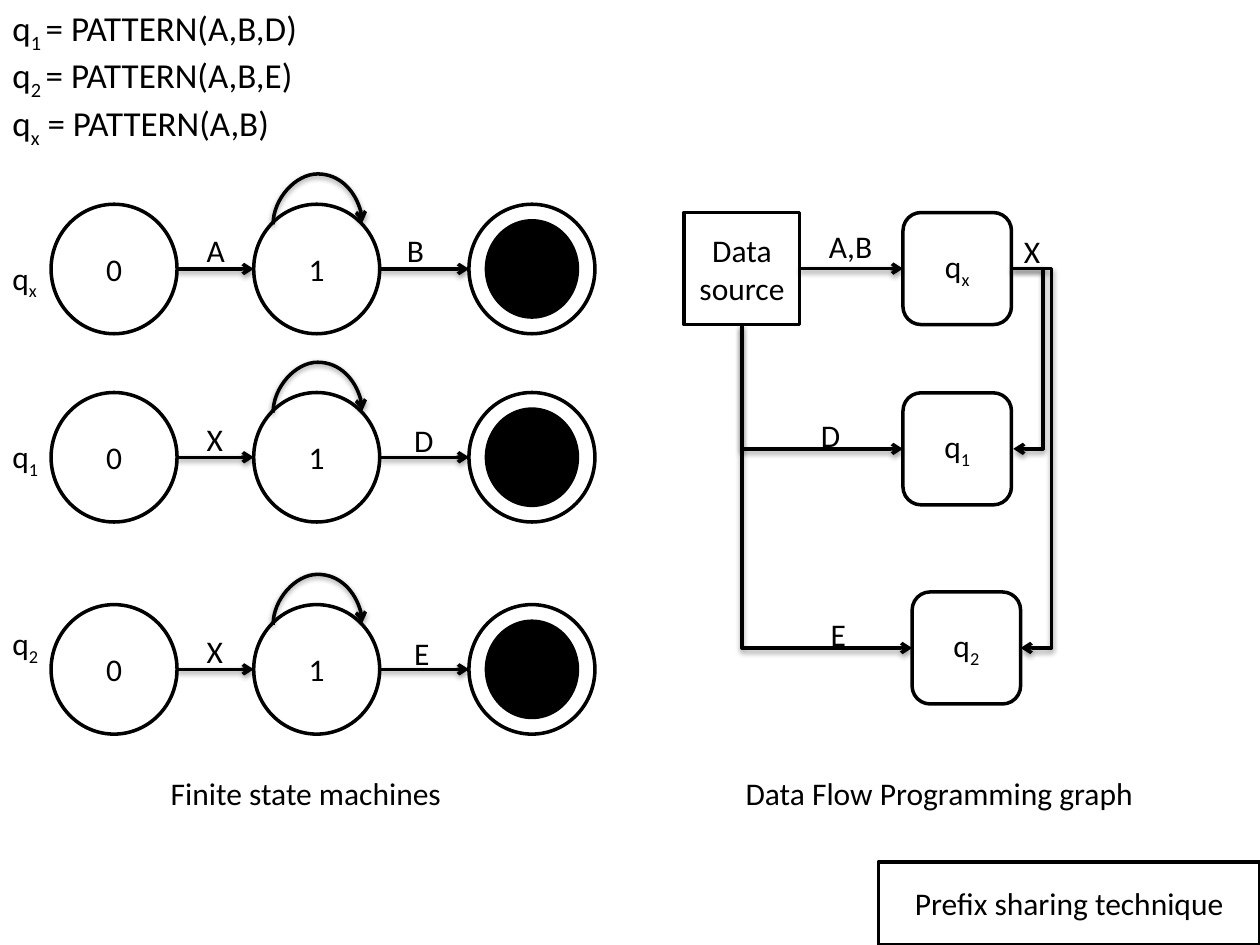
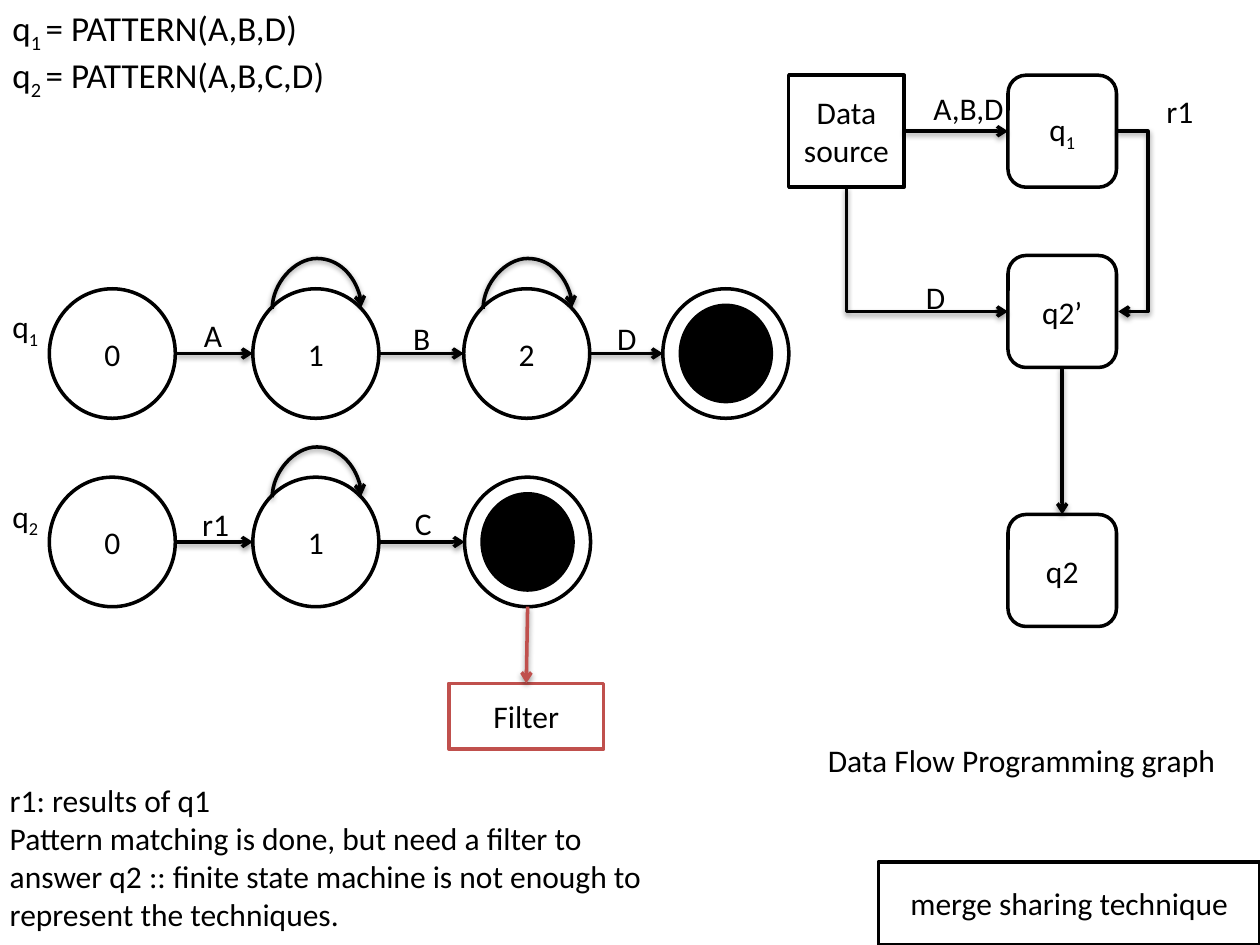
from dataclasses import dataclass
from itertools import pairwise

from lxml import etree
from pptx import Presentation
from pptx.dml.color import RGBColor
from pptx.enum.shapes import MSO_CONNECTOR, MSO_SHAPE
from pptx.enum.text import MSO_ANCHOR, MSO_AUTO_SIZE, PP_ALIGN
from pptx.oxml.ns import qn
from pptx.util import Pt

LINE, BENT, CURVE = MSO_CONNECTOR.STRAIGHT, MSO_CONNECTOR.ELBOW, MSO_CONNECTOR.CURVE
OVAL, RECT, ROUND = MSO_SHAPE.OVAL, MSO_SHAPE.RECTANGLE, MSO_SHAPE.ROUNDED_RECTANGLE
LEFT, CENTER = PP_ALIGN.LEFT, PP_ALIGN.CENTER
TOP, MIDDLE = MSO_ANCHOR.TOP, MSO_ANCHOR.MIDDLE
GROW = MSO_AUTO_SIZE.SHAPE_TO_FIT_TEXT


@dataclass(frozen=True)
class Theme:
    ink: RGBColor = RGBColor(0, 0, 0)
    paper: RGBColor = RGBColor(255, 255, 255)
    red: RGBColor = RGBColor(0xC0, 0x50, 0x4D)
    font: str = "Calibri"
    body: int = 18
    head: int = 20
    stroke: int = 2


THEME = Theme()
WIDTHS = {"A": 25, "B": 25, "C": 24.5, "D": 26, "E": 23, "X": 24, "A,B": 40, "A,B,D": 55}
STATE = (72, 74)
CORE = (52, 55)
BLOCK = (62, 64)
SOURCE = (66, 64)


def write(shape, text, size=THEME.body, align=LEFT, anchor=TOP, wrap=True):
    frame = shape.text_frame
    frame.word_wrap = wrap
    frame.vertical_anchor = anchor
    for row, line in enumerate(text.split("\n")):
        para = frame.add_paragraph() if row else frame.paragraphs[0]
        para.alignment = align
        for part, words in enumerate(line.split("|")):
            if not words:
                continue
            run = para.add_run()
            run.text = words
            run.font.size = Pt(size)
            run.font.name = THEME.font
            run.font.color.rgb = THEME.ink
            if part % 2:
                run.font._element.set("baseline", "-25000")


def note(slide, text, box, wrap=True, size=THEME.body):
    shape = slide.shapes.add_textbox(*map(Pt, box))
    write(shape, text, size=size, wrap=wrap)
    shape.text_frame.auto_size = GROW


def label(slide, text, x, y):
    note(slide, text, (x, y, WIDTHS.get(text, 30), 29.5), wrap=False)


def node(slide, kind, box, text="", fill=THEME.paper, line=THEME.ink):
    shape = slide.shapes.add_shape(kind, *map(Pt, box))
    shape.shadow.inherit = False
    shape.fill.solid()
    shape.fill.fore_color.rgb = fill
    shape.line.color.rgb = line
    shape.line.width = Pt(THEME.stroke)
    if text:
        write(shape, text, align=CENTER, anchor=MIDDLE)
    return shape


def side(shape, across, down):
    return shape.left + int(shape.width * across), shape.top + int(shape.height * down)


def west(shape):
    return side(shape, 0, 0.5)


def east(shape):
    return side(shape, 1, 0.5)


def north(shape):
    return side(shape, 0.5, 0)


def south(shape):
    return side(shape, 0.5, 1)


def shift(point, x, y):
    return point[0] + Pt(x), point[1] + Pt(y)


def unturn(point, mid, turn):
    x, y = point[0] - mid[0], point[1] - mid[1]
    x, y = {0: (x, y), 90: (y, -x), 270: (-y, x)}[turn]
    return int(mid[0] + x), int(mid[1] + y)


def shade(props):
    effects = etree.SubElement(props, qn("a:effectLst"))
    shadow = etree.SubElement(effects, qn("a:outerShdw"), blurRad="40000",
                              dist="20000", dir="5400000", rotWithShape="0")
    color = etree.SubElement(shadow, qn("a:srgbClr"), val=str(THEME.ink))
    etree.SubElement(color, qn("a:alpha"), val="38000")


def link(slide, start, end, kind=LINE, turn=0, reach=0, shape=None, color=THEME.ink):
    mid = (start[0] + end[0]) / 2, (start[1] + end[1]) / 2
    first, last = unturn(start, mid, turn), unturn(end, mid, turn)
    wire = slide.shapes.add_connector(kind, *first, *last)
    wire.line.color.rgb = color
    wire.line.width = Pt(THEME.stroke)
    props = wire._element.spPr
    if turn:
        props.find(qn("a:xfrm")).set("rot", str(turn * 60000))
    form = props.find(qn("a:prstGeom"))
    if shape:
        form.set("prst", shape)
    if reach:
        ratio = round(Pt(reach) / wire.width * 100000)
        etree.SubElement(form.find(qn("a:avLst")), qn("a:gd"),
                         name="adj1", fmla=f"val {ratio}")
    etree.SubElement(props.find(qn("a:ln")), qn("a:tailEnd"), type="arrow")
    shade(props)


def drop(slide, start, end):
    link(slide, start, end, kind=BENT, turn=270, shape="bentConnector2")


def loop(slide, state):
    start = shift((state.left, state.top), 11, 11.5)
    link(slide, start, shift(start, 51, -1), kind=CURVE, turn=90, reach=29)


def machine(slide, top, lefts, tag, marks):
    states = []
    for count, left in enumerate(lefts):
        final = count == len(lefts) - 1
        text = "" if final else str(count)
        state = node(slide, OVAL, (left, top, *STATE), text)
        if final:
            gaps = [(big - small) / 2 for big, small in zip(STATE, CORE)]
            node(slide, OVAL, (left + gaps[0], top + gaps[1], *CORE), fill=THEME.ink)
        elif count:
            loop(slide, state)
        states.append(state)
    for first, last in pairwise(states):
        link(slide, east(first), west(last))
    for text, x, y in marks:
        label(slide, text, x, top + y)
    label(slide, tag[0], 0, top + tag[1])
    return states


def source(slide, x, y):
    return node(slide, RECT, (x, y, *SOURCE), "Data source")


def block(slide, x, y, text):
    return node(slide, ROUND, (x, y, *BLOCK), text)


def badge(slide, text):
    node(slide, RECT, (502, 492.5, 218, 47.5), text)


def caption(slide, text, x, y, width):
    note(slide, text, (x, y, width, 29.5))


def prefix(slide):
    note(slide, "q|1 |= PATTERN(A,B,D)\nq|2 |= PATTERN(A,B,E)\nq|x| = PATTERN(A,B)",
         (0, 0, 181.5, 82), wrap=False, size=THEME.head)
    rows = [
        (116.7, ("q|x", 27.5), [("A", 111, 12), ("B", 225.5, 12)]),
        (224.3, ("q|1", 22), [("X", 111, 12), ("D", 229.5, 13)]),
        (345.5, ("q|2", 7.5), [("X", 111, 12), ("E", 229.5, 13.5)]),
    ]
    for top, tag, marks in rows:
        machine(slide, top, (29.2, 145, 268), tag, marks)

    feed = source(slide, 391, 121.5)
    share = block(slide, 516, 121.5, "q|x")
    one = block(slide, 516, 224.5, "q|1")
    two = block(slide, 521.2, 338.3, "q|2")
    link(slide, east(feed), west(share))
    drop(slide, south(feed), west(one))
    drop(slide, south(feed), west(two))
    link(slide, east(share), shift(east(one), 1, 0), kind=BENT, reach=18)
    link(slide, east(share), east(two), kind=BENT, reach=23)
    for text, x, y in [("A,B", 466.5, 126), ("X", 578, 129), ("D", 462, 234), ("E", 467.5, 348)]:
        label(slide, text, x, y)
    caption(slide, "Finite state machines", 90.5, 439, 183)
    caption(slide, "Data Flow Programming graph", 419, 439, 244)
    badge(slide, "Prefix sharing technique")


def merge(slide):
    note(slide, "q|1 |= PATTERN(A,B,D)\nq|2 |= PATTERN(A,B,C,D)",
         (0, 0, 197, 74), wrap=False, size=THEME.head)
    machine(slide, 165, (28.2, 144.5, 265, 378.8), ("q|1", 7),
            [("A", 109.5, 12), ("B", 229, 13.5), ("D", 345.5, 13.5)])
    states = machine(slide, 272.7, (28.2, 144.5, 265.5), ("q|2", 7.5),
                     [("r1", 108.5, 12.5), ("C", 230, 12)])
    sieve = node(slide, RECT, (256.5, 390.5, 88.5, 37.5), "Filter", line=THEME.red)
    link(slide, south(states[-1]), north(sieve), color=THEME.red)

    feed = source(slide, 450.7, 43)
    one = block(slide, 576, 43, "q|1")
    part = block(slide, 576, 146, "q2’")
    two = block(slide, 576, 294, "q2")
    link(slide, east(feed), west(one))
    drop(slide, south(feed), west(part))
    link(slide, east(one), shift(east(part), 1, 0), kind=BENT, reach=18)
    link(slide, south(part), north(two))
    for text, x, y in [("A,B,D", 526.3, 47.5), ("r1", 659.5, 49), ("D", 522, 155.5)]:
        label(slide, text, x, y)
    caption(slide, "Data Flow Programming graph", 466, 420, 244)
    note(slide, "r1: results of q1\nPattern matching is done, but need a filter to answer q2 :: "
         "finite state machine is not enough to represent the techniques.",
         (-1.5, 443, 380, 97))
    badge(slide, "merge sharing technique")


def main():
    deck = Presentation()
    deck.slide_width, deck.slide_height = Pt(720), Pt(540)
    for draw in (prefix, merge):
        draw(deck.slides.add_slide(deck.slide_layouts[6]))
    deck.save("out.pptx")


if __name__ == "__main__":
    main()
